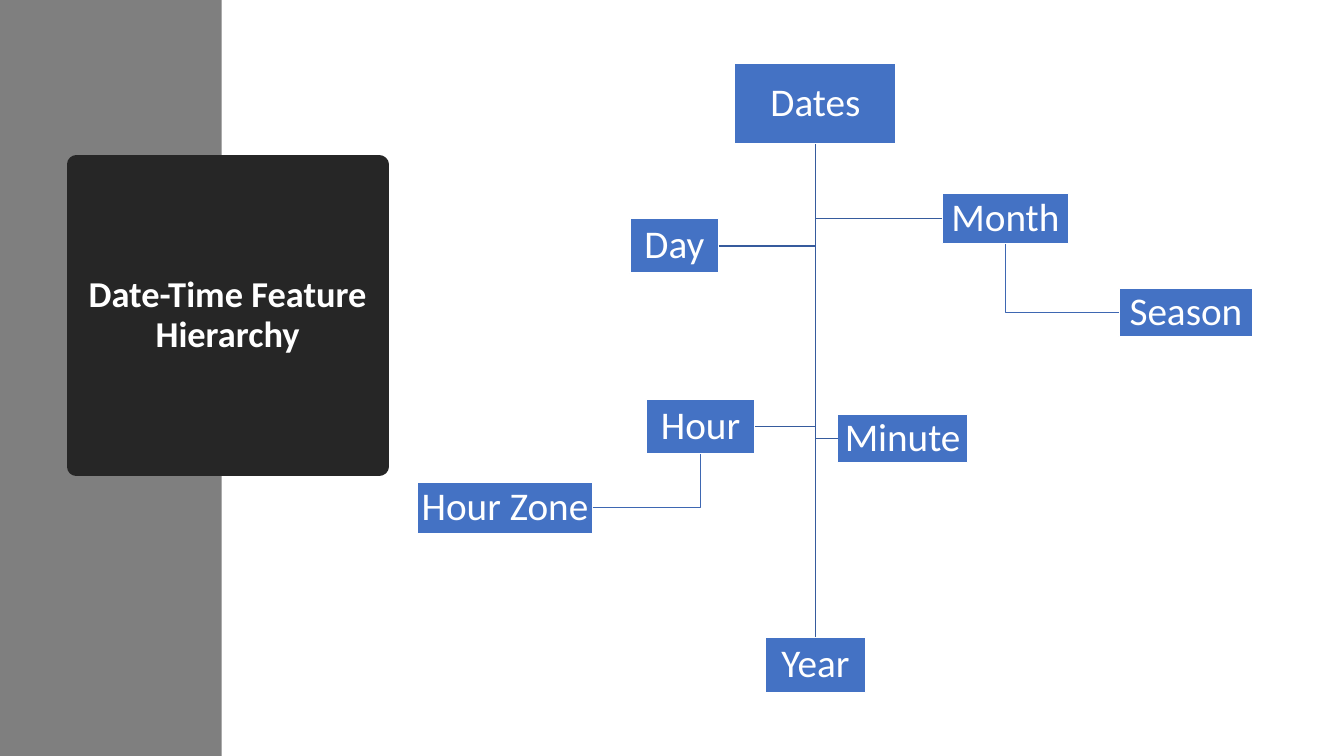
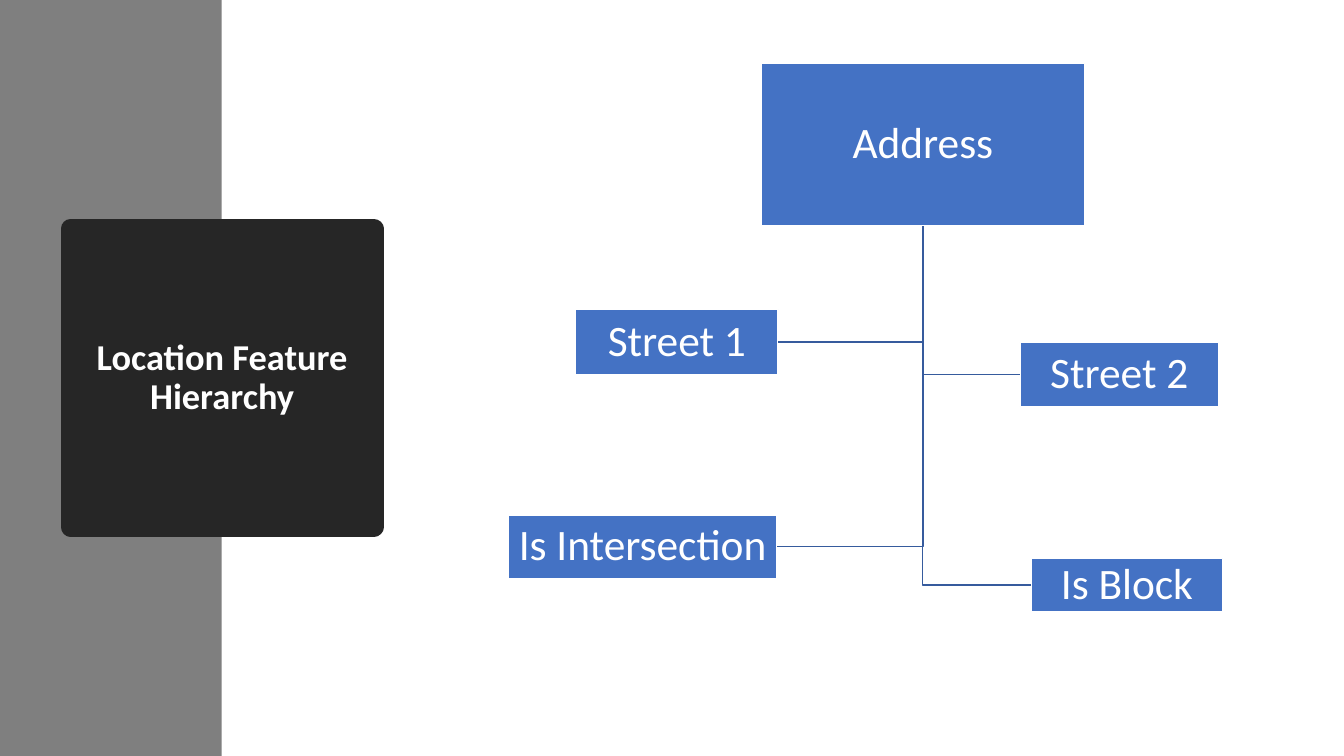
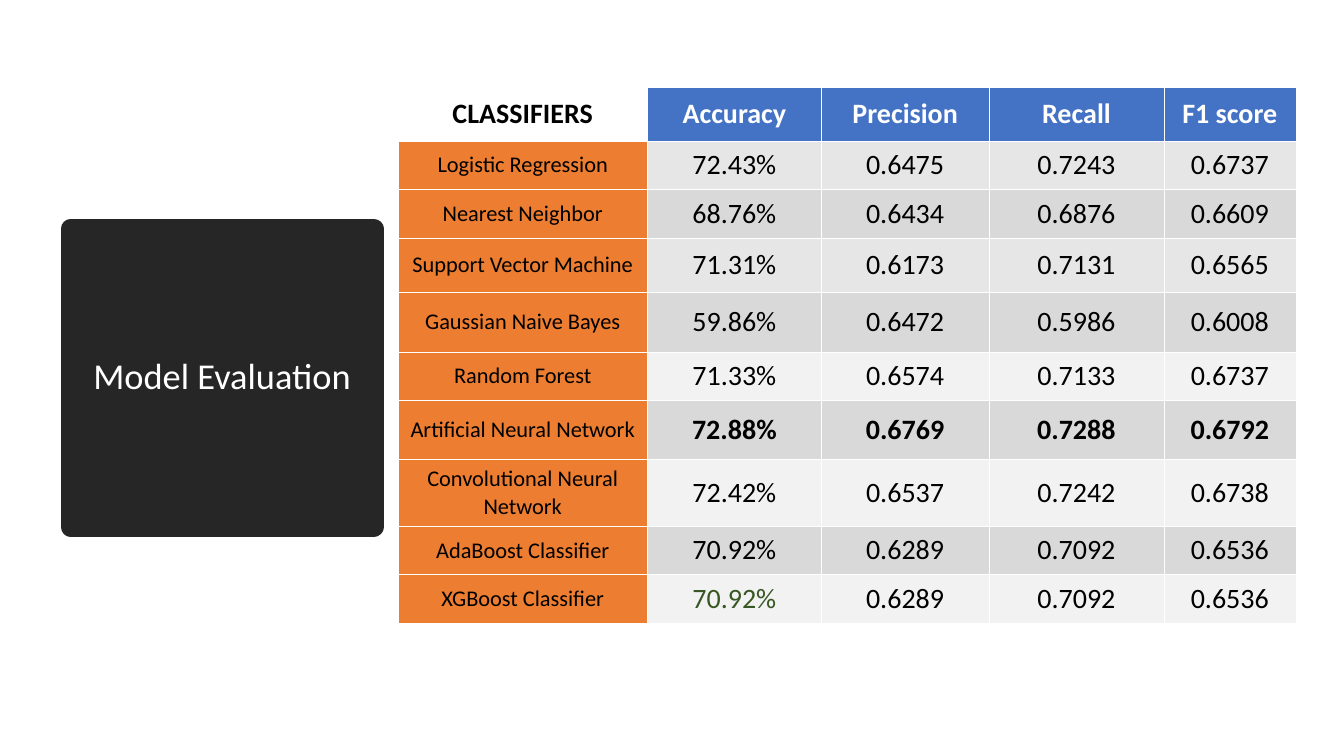
from dataclasses import dataclass

from lxml import etree
from pptx import Presentation
from pptx.dml.color import RGBColor
from pptx.enum.shapes import MSO_CONNECTOR, MSO_SHAPE
from pptx.enum.text import MSO_ANCHOR, MSO_AUTO_SIZE, PP_ALIGN
from pptx.oxml.ns import qn
from pptx.util import Pt

RECTANGLE = MSO_SHAPE.RECTANGLE
STRAIGHT, ELBOW = MSO_CONNECTOR.STRAIGHT, MSO_CONNECTOR.ELBOW
MIDDLE, CENTER = MSO_ANCHOR.MIDDLE, PP_ALIGN.CENTER
NO_AUTOFIT = MSO_AUTO_SIZE.NONE
TOP, LEFT, BOTTOM, RIGHT = range(4)
TITLE_ONLY = 5


@dataclass(frozen=True)
class Theme:
    font: str = "Calibri"
    white: str = "FFFFFF"
    black: str = "000000"
    band: str = "7F7F7F"
    circle: str = "262626"
    box: str = "4472C4"
    trunk: str = "365B9D"
    twig: str = "3E67B2"
    name_fill: str = "ED7D31"
    row_light: str = "E7E6E6"
    row_pale: str = "F2F2F2"
    row_dark: str = "D9D9D9"
    green: str = "385723"
    title_size: float = 26
    dates_size: float = 28
    location_size: float = 31
    value_size: float = 20
    name_size: float = 16


THEME = Theme()
SLIDE_SIZE = (960, 540)
BAND = (0, 0, 158.4, 540)
HIGH_CIRCLE = (54.7, 117.4, 216, 216)
MIDDLE_CIRCLE = (50.4, 163.4, 216.7, 213.1)

DATE_BOXES = {
    "Dates": (524.9, 45.4, 115.2, 57.6),
    "Year": (546.5, 455, 72, 39.6),
    "Day": (450, 156.2, 63.4, 38.9),
    "Month": (673.2, 138.2, 90, 36),
    "Season": (799.2, 205.9, 95.8, 34.6),
    "Minute": (598.3, 295.9, 92.9, 34.6),
    "Hour": (461.5, 285.1, 77.8, 38.9),
    "Hour Zone": (298.1, 344.2, 125.3, 36.7),
}
DATE_BRANCHES = [
    ("Hour", "Hour Zone", RIGHT, THEME.twig),
    ("Dates", "Hour", RIGHT, THEME.trunk),
    ("Dates", "Minute", LEFT, THEME.trunk),
    ("Month", "Season", LEFT, THEME.twig),
    ("Dates", "Month", LEFT, THEME.trunk),
    ("Dates", "Day", RIGHT, THEME.trunk),
    ("Dates", "Year", TOP, THEME.trunk),
]

LOCATION_BOXES = {
    "Address": (543.6, 45.4, 231.1, 115.9),
    "Street 1": (411.1, 221, 144.7, 46.8),
    "Street 2": (728.6, 244.8, 141.8, 45.4),
    "Is Block": (736.6, 398.9, 136.8, 38.2),
    "Is Intersection": (362.9, 367.9, 192.2, 45.4),
}
LOCATION_BRANCHES = [
    ("Address", "Is Intersection", RIGHT, THEME.trunk),
    ("Address", "Is Block", LEFT, THEME.trunk),
    ("Address", "Street 2", LEFT, THEME.trunk),
    ("Address", "Street 1", RIGHT, THEME.trunk),
]

TABLE_ORIGIN = (284.2, 62.6)
COLUMN_WIDTHS = (178.4, 124, 119.9, 124.9, 94.3)
HEADINGS = ("CLASSIFIERS", "Accuracy", "Precision", "Recall", "F1 score")
HEADING_HEIGHT = 38.2
# Row height, fill, classifier name, then its four scores.
CLASSIFIERS = [
    (34.6, THEME.row_light, "Logistic Regression", "72.43%", "0.6475", "0.7243", "0.6737"),
    (34.6, THEME.row_dark, "Nearest Neighbor", "68.76%", "0.6434", "0.6876", "0.6609"),
    (38.9, THEME.row_light, "Support Vector Machine", "71.31%", "0.6173", "0.7131", "0.6565"),
    (42.5, THEME.row_dark, "Gaussian Naive Bayes", "59.86%", "0.6472", "0.5986", "0.6008"),
    (34.6, THEME.row_pale, "Random Forest", "71.33%", "0.6574", "0.7133", "0.6737"),
    (42.5, THEME.row_dark, "Artificial Neural Network", "72.88%", "0.6769", "0.7288", "0.6792"),
    (47.5, THEME.row_pale, "Convolutional Neural Network", "72.42%", "0.6537", "0.7242", "0.6738"),
    (34.6, THEME.row_dark, "AdaBoost Classifier", "70.92%", "0.6289", "0.7092", "0.6536"),
    (34.6, THEME.row_pale, "XGBoost Classifier", "70.92%", "0.6289", "0.7092", "0.6536"),
]
BEST_CLASSIFIER = "Artificial Neural Network"
GREEN_CLASSIFIER = "XGBoost Classifier"


def set_values(target, values):
    for name, value in values.items():
        setattr(target, name, value)


def paint(shape, fill, line=None, width=1):
    shape.fill.solid()
    shape.fill.fore_color.rgb = RGBColor.from_string(fill)
    if line:
        shape.line.color.rgb = RGBColor.from_string(line)
        shape.line.width = Pt(width)
    else:
        shape.line.fill.background()


def write(frame, text, size, color, bold=False, **para_format):
    """Put one centred paragraph into a text frame."""
    para = frame.paragraphs[0]
    set_values(para, {"alignment": CENTER, **para_format})
    span = para.add_run()
    span.text = text
    set_values(span.font, {"name": THEME.font, "size": Pt(size), "bold": bold})
    span.font.color.rgb = RGBColor.from_string(color)


def add_rectangle(slide, place, fill, line=None):
    box = slide.shapes.add_shape(RECTANGLE, *map(Pt, place))
    box.shadow.inherit = False
    paint(box, fill, line)
    return box


def add_titled_slide(deck, text, place, bold=True, band=True):
    """Add a slide whose title sits in a dark circle, with or without the side band."""
    slide = deck.slides.add_slide(deck.slide_layouts[TITLE_ONLY])
    title = slide.shapes.title
    set_values(title, dict(zip(("left", "top", "width", "height"), map(Pt, place))))
    outline = etree.SubElement(title.element.spPr, qn("a:prstGeom"), prst="ellipse")
    etree.SubElement(outline, qn("a:avLst"))
    paint(title, THEME.circle, THEME.circle, 13.75)
    set_values(title.text_frame, {
        "auto_size": NO_AUTOFIT, "word_wrap": True, "vertical_anchor": MIDDLE})
    write(title.text_frame, text, THEME.title_size, THEME.white, bold,
          line_spacing=0.9, space_after=Pt(6))
    if band:
        title.element.addprevious(add_rectangle(slide, BAND, THEME.band).element)
    return slide


def add_box(slide, text, place, size):
    box = add_rectangle(slide, place, THEME.box, THEME.white)
    inset = Pt(1.44)
    set_values(box.text_frame, {
        "word_wrap": True, "vertical_anchor": MIDDLE, "margin_left": inset,
        "margin_right": inset, "margin_top": inset, "margin_bottom": inset})
    write(box.text_frame, text, size, THEME.white, line_spacing=0.9)
    return box


def add_branch(slide, parent, child, side, color):
    """Join a side of the child to the bottom of its parent, with one bend at most."""
    kind = STRAIGHT if side == TOP else ELBOW
    branch = slide.shapes.add_connector(kind, 0, 0, 0, 0)
    branch.begin_connect(child, side)
    branch.end_connect(parent, BOTTOM)
    properties = branch.element.spPr
    if kind == ELBOW:
        properties.find(qn("a:prstGeom")).set("prst", "bentConnector2")
    branch.line.color.rgb = RGBColor.from_string(color)
    branch.line.width = Pt(1)
    etree.SubElement(properties, qn("a:effectLst"))


def add_hierarchy(slide, places, branches, size):
    boxes = {text: add_box(slide, text, place, size) for text, place in places.items()}
    for parent, child, side, color in branches:
        add_branch(slide, boxes[parent], boxes[child], side, color)


def add_borders(cell):
    properties = cell._tc.get_or_add_tcPr()
    for side in ("lnL", "lnR", "lnT", "lnB"):
        border = etree.SubElement(properties, qn(f"a:{side}"), w=str(Pt(0.5)))
        fill = etree.SubElement(border, qn("a:solidFill"))
        etree.SubElement(fill, qn("a:srgbClr"), val=THEME.white)


def fill_cell(cell, text, fill, size, color=THEME.black, bold=False):
    add_borders(cell)
    cell.fill.solid()
    cell.fill.fore_color.rgb = RGBColor.from_string(fill)
    set_values(cell, {
        "vertical_anchor": MIDDLE, "margin_left": Pt(7.9), "margin_right": Pt(7.9),
        "margin_top": Pt(4), "margin_bottom": Pt(4)})
    write(cell.text_frame, text, size, color, bold)


def add_score_table(slide):
    heights = [HEADING_HEIGHT] + [row[0] for row in CLASSIFIERS]
    extent = (sum(COLUMN_WIDTHS), sum(heights))
    table = slide.shapes.add_table(
        len(heights), len(COLUMN_WIDTHS), *map(Pt, TABLE_ORIGIN + extent)).table
    set_values(table, {"first_row": False, "horz_banding": False})
    for column, width in zip(table.columns, COLUMN_WIDTHS):
        column.width = Pt(width)
    for row, height in zip(table.rows, heights):
        row.height = Pt(height)

    for column, heading in enumerate(HEADINGS):
        fill, color = (THEME.box, THEME.white) if column else (THEME.white, THEME.black)
        fill_cell(table.cell(0, column), heading, fill, THEME.value_size, color, True)
    for row, (_, fill, name, *scores) in enumerate(CLASSIFIERS, 1):
        fill_cell(table.cell(row, 0), name, THEME.name_fill, THEME.name_size)
        for column, score in enumerate(scores, 1):
            is_green = name == GREEN_CLASSIFIER and column == 1
            fill_cell(table.cell(row, column), score, fill, THEME.value_size,
                      THEME.green if is_green else THEME.black, name == BEST_CLASSIFIER)


def main():
    deck = Presentation()
    deck.slide_width, deck.slide_height = map(Pt, SLIDE_SIZE)

    dates = add_titled_slide(deck, "Date-Time Feature Hierarchy", HIGH_CIRCLE)
    add_hierarchy(dates, DATE_BOXES, DATE_BRANCHES, THEME.dates_size)

    location = add_titled_slide(deck, "Location Feature Hierarchy", MIDDLE_CIRCLE)
    add_hierarchy(location, LOCATION_BOXES, LOCATION_BRANCHES, THEME.location_size)

    evaluation = add_titled_slide(
        deck, "Model Evaluation", MIDDLE_CIRCLE, bold=False, band=False)
    add_score_table(evaluation)

    deck.save("out.pptx")


if __name__ == "__main__":
    main()
